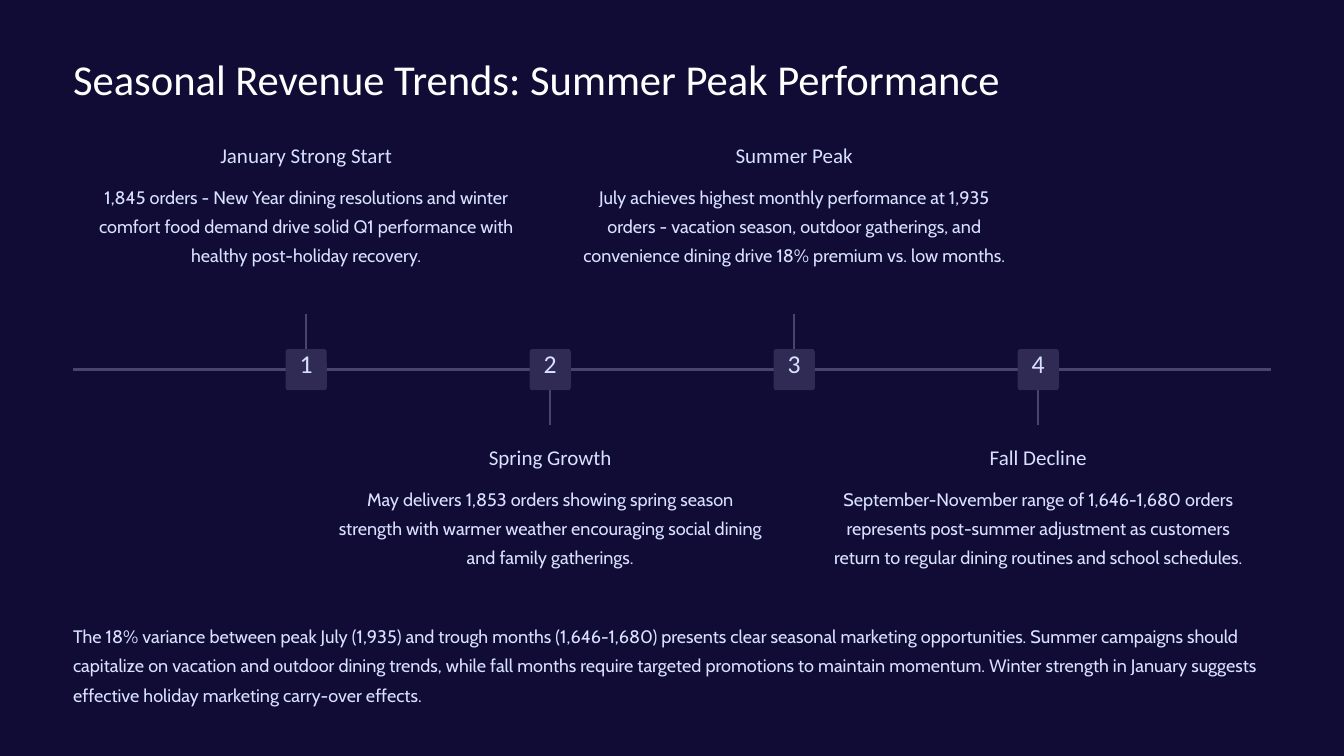
"""Build the seasonal revenue timeline slide."""
from lxml import etree
from pptx import Presentation
from pptx.dml.color import RGBColor
from pptx.enum import shapes, text
from pptx.oxml import ns
from pptx.util import Inches, Pt

COLOURS = {"night": "100C35", "line": "48446D", "badge": "2F2B54",
           "title": "FFFFFF", "text": "D9E1FF"}
TITLE = "Seasonal Revenue Trends: Summer Peak Performance"
MILESTONES = [
    ("January Strong Start",
     "1,845 orders - New Year dining resolutions and winter comfort food demand "
     "drive solid Q1 performance with healthy post-holiday recovery.", 1.05),
    ("Spring Growth",
     "May delivers 1,853 orders showing spring season strength with warmer weather "
     "encouraging social dining and family gatherings.", 1.05),
    ("Summer Peak",
     "July achieves highest monthly performance at 1,935 orders - vacation season, "
     "outdoor gatherings, and convenience dining drive 18% premium vs. low months.", 1.39),
    ("Fall Decline",
     "September-November range of 1,646-1,680 orders represents post-summer adjustment "
     "as customers return to regular dining routines and school schedules.", 1.39),
]
SUMMARY = (
    "The 18% variance between peak July (1,935) and trough months (1,646-1,680) presents "
    "clear seasonal marketing opportunities. Summer campaigns should capitalize on vacation "
    "and outdoor dining trends, while fall months require targeted promotions to maintain "
    "momentum. Winter strength in January suggests effective holiday marketing carry-over effects."
)
CENTRE, LEFT_ALIGN = text.PP_ALIGN.CENTER, text.PP_ALIGN.LEFT
STYLES = {
    "title": dict(font="Calibri", size=36.5, spacing=46, colour="title", align=LEFT_ALIGN, wrap=False),
    "number": dict(font="Calibri", size=22, spacing=22, colour="text", align=CENTRE, wrap=False),
    "heading": dict(font="Calibri", size=18, spacing=23, colour="text", align=CENTRE, wrap=False),
    "body": dict(font="Cabin", size=15.5, spacing=25, colour="text", align=CENTRE, wrap=True),
    "summary": dict(font="Cabin", size=15.5, spacing=25, colour="text", align=LEFT_ALIGN, wrap=True),
}
LEFT, WIDTH = 0.87, 14.26
AXIS_Y, STEM = 4.4, 0.66
FIRST_X, STEP = 3.645, 2.905
BADGE = 0.49
HEADING_TOPS = (1.68, 5.27)


def colour(name):
    return RGBColor.from_string(COLOURS[name])


def add_text(page, words, style, left, top, width, height):
    look = STYLES[style]
    box = page.shapes.add_textbox(*map(Inches, (left, top, width, height)))
    frame = box.text_frame
    layout = dict(margin_left=0, margin_right=0, margin_top=0, margin_bottom=0,
                  word_wrap=look["wrap"])
    for name, value in layout.items():
        setattr(frame, name, value)
    para = frame.paragraphs[0]
    for name, value in dict(alignment=look["align"], line_spacing=Pt(look["spacing"])).items():
        setattr(para, name, value)
    span = para.add_run()
    span.text = words
    for name, value in dict(name=look["font"], size=Pt(look["size"])).items():
        setattr(span.font, name, value)
    span.font.color.rgb = colour(look["colour"])


def add_line(page, x1, y1, x2, y2):
    line = page.shapes.add_connector(
        shapes.MSO_CONNECTOR.STRAIGHT, *map(Inches, (x1, y1, x2, y2)))
    line.line.width = Pt(2)
    line.line.color.rgb = colour("line")
    etree.SubElement(line._element.spPr, ns.qn("a:effectLst"))


def add_badge(page, x, number):
    half = BADGE / 2
    badge = page.shapes.add_shape(
        shapes.MSO_SHAPE.ROUNDED_RECTANGLE,
        *map(Inches, (x - half, AXIS_Y - half, BADGE, BADGE)))
    badge.adjustments[0] = 0.067
    badge.shadow.inherit = False
    badge.fill.solid()
    badge.fill.fore_color.rgb = colour("badge")
    badge.line.fill.background()
    add_text(page, str(number), "number", x - 0.155, AXIS_Y - 0.2, 0.31, 0.38)


def main():
    deck = Presentation()
    deck.slide_width, deck.slide_height = Inches(16), Inches(9)
    page = deck.slides.add_slide(deck.slide_layouts[6])
    page.background.fill.solid()
    page.background.fill.fore_color.rgb = colour("night")
    add_text(page, TITLE, "title", LEFT, 0.6, 12.23, 0.64)
    add_line(page, LEFT, AXIS_Y, LEFT + WIDTH, AXIS_Y)
    for index, (heading, body, height) in enumerate(MILESTONES):
        x, below = FIRST_X + index * STEP, index % 2
        top = HEADING_TOPS[below]
        add_line(page, x, AXIS_Y, x, AXIS_Y + (STEM if below else -STEM))
        add_badge(page, x, index + 1)
        add_text(page, heading, "heading", x - 1.28, top, 2.56, 0.32)
        add_text(page, body, "body", x - 2.55, top + 0.45, 5.1, height)
    add_text(page, SUMMARY, "summary", LEFT, 7.36, WIDTH, 1.05)
    deck.save("out.pptx")


if __name__ == "__main__":
    main()
